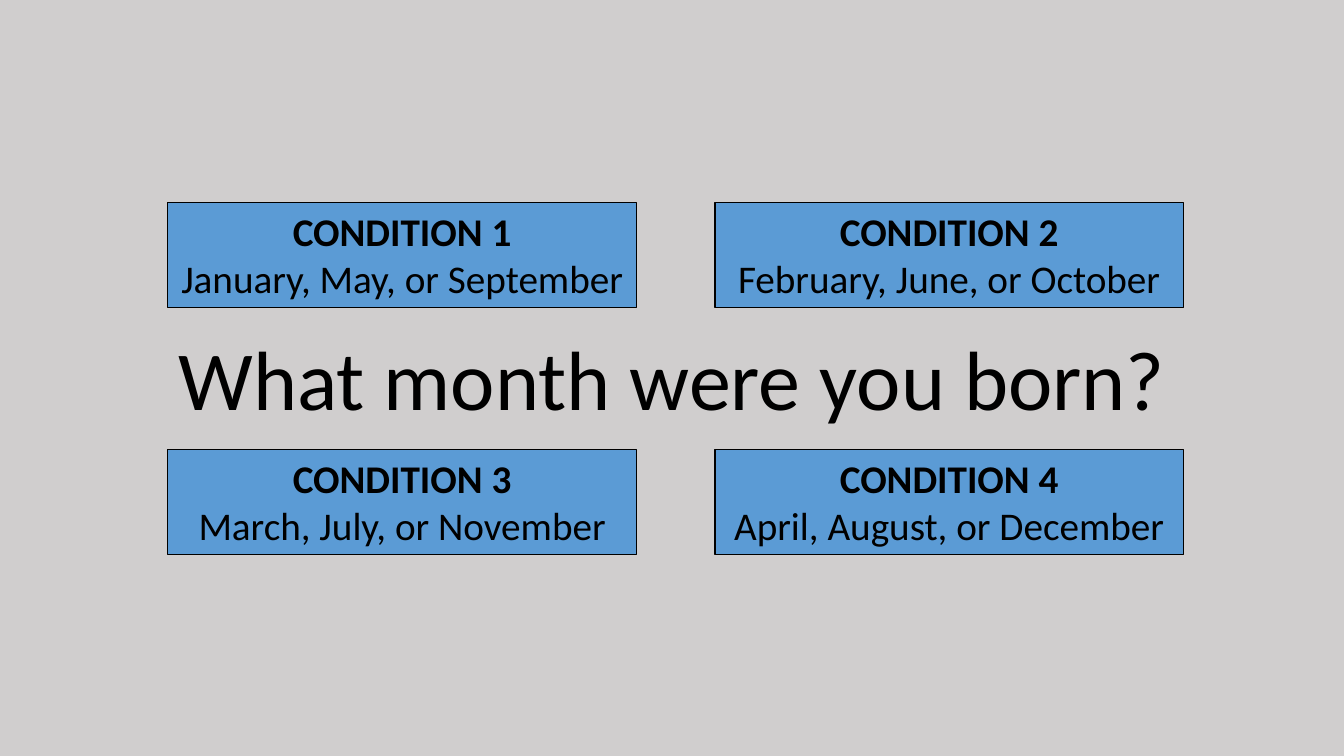
import dataclasses

import pptx
import pptx.dml.color
import pptx.enum.shapes
import pptx.enum.text
import pptx.util

EMU_PER_PX = 9525
SLIDE_WIDTH, SLIDE_HEIGHT = 1280, 720
TITLE_ONLY_LAYOUT = 5

# Grid of condition boxes, in px
BOX_WIDTH, BOX_HEIGHT = 446, 100
COLUMN_LEFT, COLUMN_STEP = 160, 521
ROW_TOP, ROW_STEP = 193, 235
QUESTION_TOP, QUESTION_HEIGHT = 306, 107

MONTHS = [
    "January, May, or September",
    "February, June, or October",
    "March, July, or November",
    "April, August, or December",
]


@dataclasses.dataclass(frozen=True)
class Theme:
    font: str = "Calibri"
    background: str = "D0CECE"
    box: str = "5B9BD5"
    ink: str = "000000"
    question_size: int = 60
    box_size: int = 28
    line_width: float = 0.75


THEME = Theme()


def px(length):
    return pptx.util.Emu(length * EMU_PER_PX)


def set_fill(fill, color):
    fill.solid()
    fill.fore_color.rgb = pptx.dml.color.RGBColor.from_string(color)


def write_text(paragraph, text, *, size, bold=False):
    paragraph.alignment = pptx.enum.text.PP_ALIGN.CENTER
    run = paragraph.add_run()
    run.text = text
    run.font.name = THEME.font
    run.font.size = pptx.util.Pt(size)
    run.font.bold = bold
    run.font.color.rgb = pptx.dml.color.RGBColor.from_string(THEME.ink)


def fit_frame(shape):
    frame = shape.text_frame
    frame.word_wrap = True
    frame.auto_size = pptx.enum.text.MSO_AUTO_SIZE.SHAPE_TO_FIT_TEXT
    frame.vertical_anchor = pptx.enum.text.MSO_ANCHOR.TOP
    return frame


def add_condition(slide, index, months):
    row, column = divmod(index, 2)
    shape = slide.shapes.add_shape(
        pptx.enum.shapes.MSO_SHAPE.RECTANGLE,
        px(COLUMN_LEFT + column * COLUMN_STEP),
        px(ROW_TOP + row * ROW_STEP),
        px(BOX_WIDTH),
        px(BOX_HEIGHT),
    )
    shape.shadow.inherit = False
    set_fill(shape.fill, THEME.box)
    set_fill(shape.line.fill, THEME.ink)
    shape.line.width = pptx.util.Pt(THEME.line_width)
    frame = fit_frame(shape)
    write_text(frame.paragraphs[0], f"CONDITION {index + 1}",
               size=THEME.box_size, bold=True)
    write_text(frame.add_paragraph(), months, size=THEME.box_size)


def set_question(slide, text):
    title = slide.shapes.title
    title.left, title.top = px(0), px(QUESTION_TOP)
    title.width, title.height = px(SLIDE_WIDTH), px(QUESTION_HEIGHT)
    write_text(fit_frame(title).paragraphs[0], text, size=THEME.question_size)


def main():
    presentation = pptx.Presentation()
    presentation.slide_width = px(SLIDE_WIDTH)
    presentation.slide_height = px(SLIDE_HEIGHT)
    slide = presentation.slides.add_slide(
        presentation.slide_layouts[TITLE_ONLY_LAYOUT])
    set_fill(slide.background.fill, THEME.background)

    # Question between the two rows
    set_question(slide, "What month were you born?")

    # Conditions, two to a row
    for index, months in enumerate(MONTHS):
        add_condition(slide, index, months)

    presentation.save("out.pptx")


if __name__ == "__main__":
    main()
